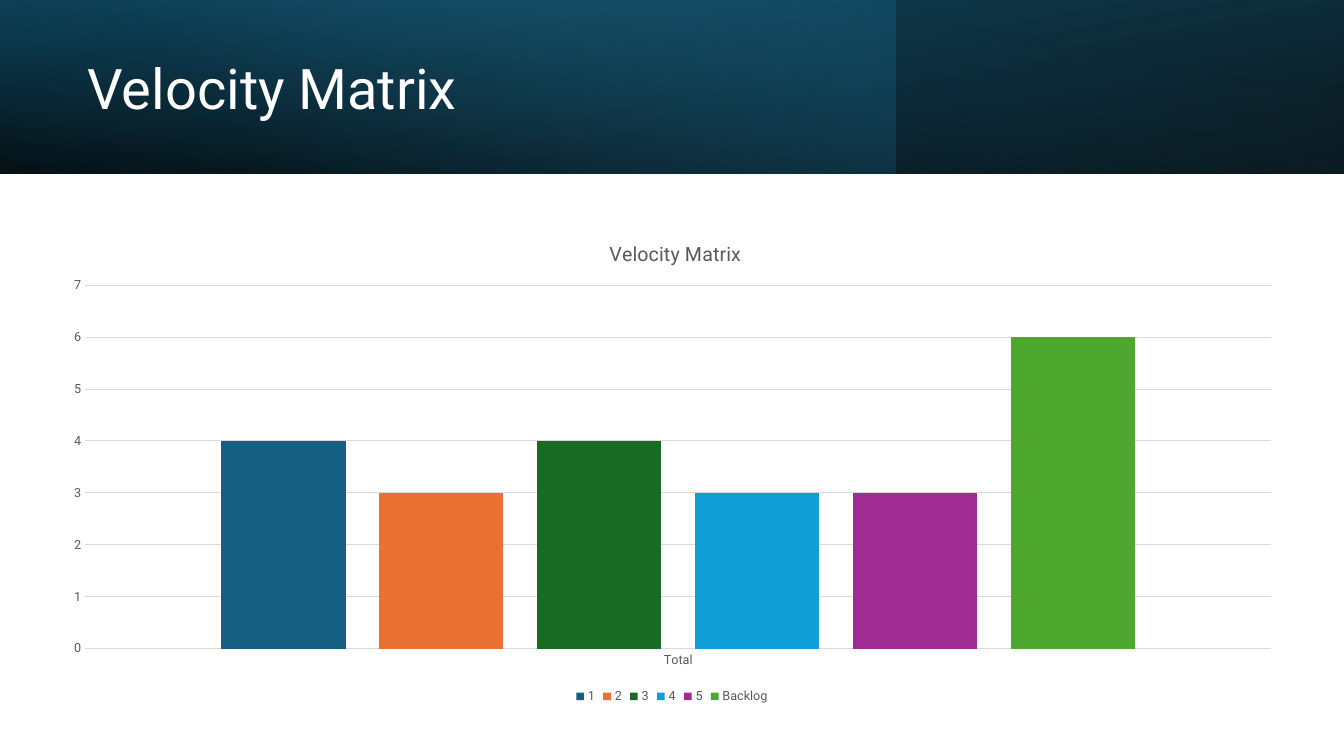
from lxml import etree
from pptx import Presentation
from pptx.chart import data
from pptx.dml.color import RGBColor
from pptx.enum import chart as charts, shapes, text
from pptx.oxml import ns
from pptx.util import Pt

FONT = "Roboto"
COLORS = {"white": "FFFFFF", "label": "595959", "grid": "D9D9D9",
          "black": "000000", "deep": "104862", "blue": "156082", "sky": "46B1E1"}
BAND_HEIGHT = 123.75
# width, rotation, flipped, angle, stops (position %, colour, opacity %)
BAND_LAYERS = [
    (960, 180, True, 100, [(0, "black", 96), (100, "deep", 100)]),
    (640, 0, False, 140, [(0, "blue", 41), (74, "sky", 0)]),
    (960, 0, True, 260, [(0, "black", 63), (78, "blue", 15)]),
]
SERIES = [("1", 4, "156082"), ("2", 3, "E97132"), ("3", 4, "196B24"),
          ("4", 3, "0F9ED5"), ("5", 3, "A02B93"), ("Backlog", 6, "4EA72E")]


def style_font(font, size, color):
    font.name, font.size, font.bold = FONT, Pt(size), False
    font.color.rgb = RGBColor.from_string(COLORS[color])


def place(parent, index, **values):
    """Give a chart part a manual layout in fractions of the chart."""
    for old in parent.findall(ns.qn("c:layout")):
        parent.remove(old)
    layout = etree.Element(ns.qn("c:layout"))
    manual = etree.SubElement(layout, ns.qn("c:manualLayout"))
    for name, value in values.items():
        etree.SubElement(manual, ns.qn(f"c:{name}")).set("val", str(value))
    parent.insert(index, layout)


presentation = Presentation()
presentation.slide_width, presentation.slide_height = Pt(960), Pt(540)
slide = presentation.slides.add_slide(presentation.slide_layouts[6])

# Header band
for width, rotation, flipped, angle, stops in BAND_LAYERS:
    shape = slide.shapes.add_shape(shapes.MSO_SHAPE.RECTANGLE, 0, 0, Pt(width), Pt(BAND_HEIGHT))
    shape.shadow.inherit = False
    shape.line.fill.background()
    shape.rotation = rotation
    if flipped:
        shape._element.spPr.xfrm.set("flipH", "1")
    shape.fill.gradient()
    gradient = shape._element.spPr.find(ns.qn("a:gradFill"))
    gradient.find(ns.qn("a:lin")).set("ang", str(angle * 60000))
    stop_list = gradient.find(ns.qn("a:gsLst"))
    for old in list(stop_list):
        stop_list.remove(old)
    for position, color, opacity in stops:
        stop = etree.SubElement(stop_list, ns.qn("a:gs"), pos=str(position * 1000))
        tint = etree.SubElement(stop, ns.qn("a:srgbClr"), val=COLORS[color])
        etree.SubElement(tint, ns.qn("a:alpha"), val=str(opacity * 1000))

title = slide.shapes.add_textbox(Pt(55.5), Pt(19.5), Pt(556), Pt(91.5))
title.text_frame.word_wrap = True
title.text_frame.vertical_anchor = text.MSO_ANCHOR.MIDDLE
paragraph = title.text_frame.paragraphs[0]
paragraph.text = "Velocity Matrix"
paragraph.line_spacing = 0.9
style_font(paragraph.font, 40, "white")

# Chart
chart_data = data.CategoryChartData()
chart_data.categories = ["Total"]
for name, value, color in SERIES:
    chart_data.add_series(name, [value])
chart = slide.shapes.add_chart(charts.XL_CHART_TYPE.COLUMN_CLUSTERED, Pt(34), Pt(155),
                               Pt(892), Pt(350.5), chart_data).chart
style_font(chart.font, 10, "black")

chart.has_title = True
paragraph = chart.chart_title.text_frame.paragraphs[0]
paragraph.text = "Velocity Matrix"
style_font(paragraph.font, 14, "label")
place(chart.chart_title._element, 1, xMode="edge", yMode="edge", x=0.447, y=0.04)
place(chart._chartSpace.chart.plotArea, 0, layoutTarget="inner", xMode="edge", yMode="edge",
      x=0.03, y=0.139, w=0.95, h=0.741)

chart.has_legend = True
chart.legend.position = charts.XL_LEGEND_POSITION.BOTTOM
chart.legend.include_in_layout = False
style_font(chart.legend.font, 9, "label")

value_axis, category_axis = chart.value_axis, chart.category_axis
for axis in (value_axis, category_axis):
    axis.major_tick_mark = axis.minor_tick_mark = charts.XL_TICK_MARK.NONE
    style_font(axis.tick_labels.font, 9, "label")
value_axis.minimum_scale, value_axis.maximum_scale, value_axis.major_unit = 0, 7, 1
value_axis.format.line.fill.background()
for line in (value_axis.major_gridlines.format.line, category_axis.format.line):
    line.width = Pt(0.75)
    line.color.rgb = RGBColor.from_string(COLORS["grid"])

plot = chart.plots[0]
plot.gap_width, plot.overlap, plot.vary_by_categories = 219, -27, False
for series, (name, value, color) in zip(plot.series, SERIES):
    series.format.fill.solid()
    series.format.fill.fore_color.rgb = RGBColor.from_string(color)

presentation.save("out.pptx")
